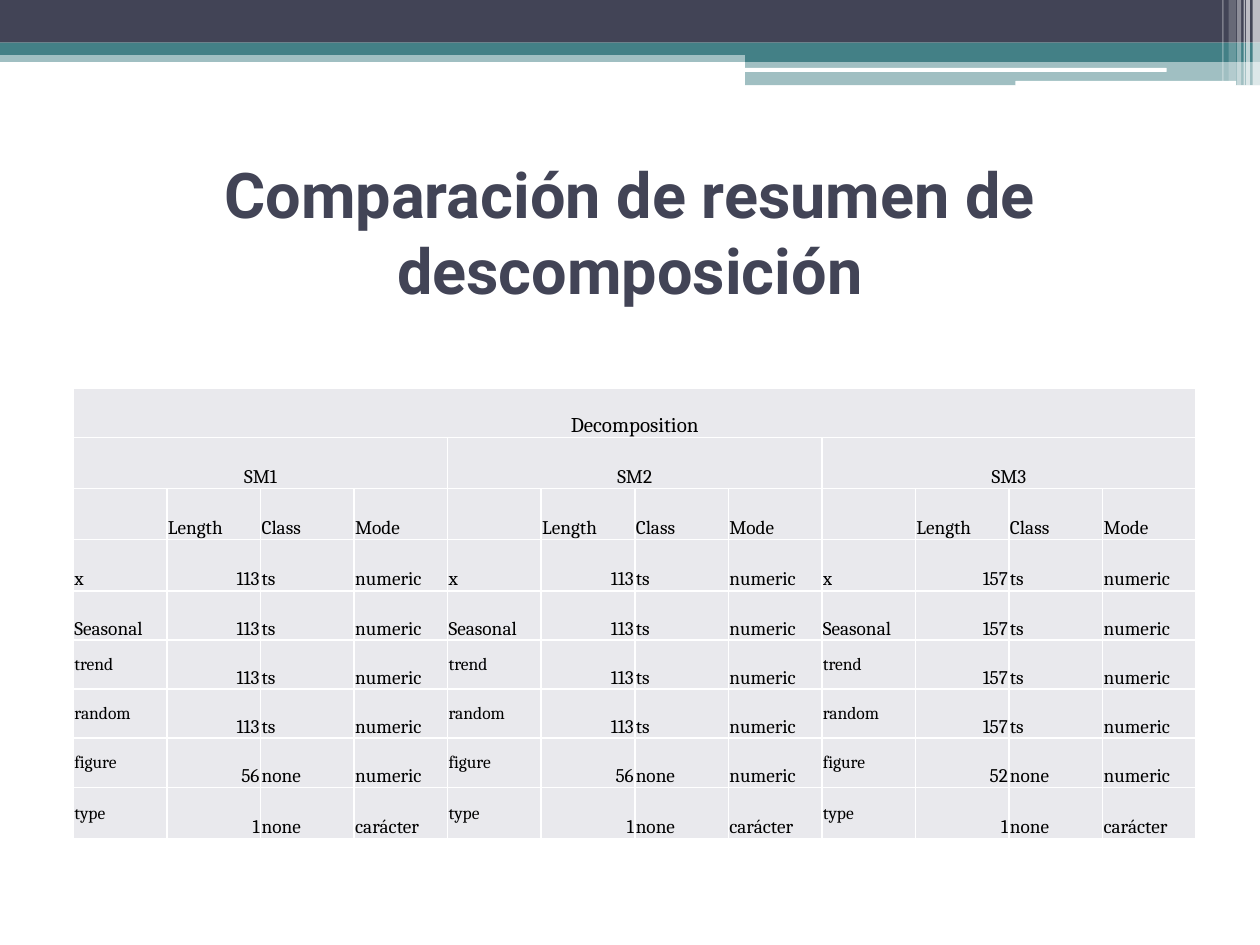
from lxml.etree import SubElement as Sub
from pptx import Presentation
from pptx.dml.color import RGBColor
from pptx.enum.shapes import MSO_SHAPE as Shape
from pptx.enum.text import MSO_ANCHOR as Anchor, PP_ALIGN as Align
from pptx.oxml.ns import qn
from pptx.util import Cm, Pt

NAVY = RGBColor(0x42, 0x44, 0x56)
TEAL = RGBColor(0x43, 0x80, 0x86)
WHITE = RGBColor(0xFF, 0xFF, 0xFF)
BLACK = RGBColor(0x00, 0x00, 0x00)
PALE = RGBColor(0xE9, 0xE9, 0xED)

BANDS = [
    (0, 1.02, 25.4, 0.23, TEAL, 50),
    (0, 0, 25.4, 0.86, NAVY, 100),
    (0, 0.86, 25.4, 0.25, TEAL, 100),
    (15.02, 0.99, 10.38, 0.26, TEAL, 100),
    (15.02, 1.23, 10.38, 0.49, TEAL, 50),
]
BARS = [(15.01, 1.37, 8.51, 0.08), (20.47, 1.63, 4.45, 0.1)]
STRIPS = [
    (25.25, 0.15, 1.73, 65),
    (25.12, 0.08, 1.73, 65),
    (25.07, 0.03, 1.73, 60),
    (24.94, 0.08, 1.73, 40),
    (24.77, 0.15, 1.63, 20),
    (24.64, 0.03, 1.63, 30),
]
MODELS = {
    "SM1": ("113", "56"),
    "SM2": ("113", "56"),
    "SM3": ("157", "52"),
}
HEADS = ["", "Length", "Class", "Mode"]
PARTS = ["x", "Seasonal", "trend", "random", "figure", "type"]
SMALL = PARTS[2:]
ROWS = [0.99, 1.03, 1.03, 1.03, 0.99, 0.99, 0.99, 0.99, 1.03]


def write(frame, text, size=11, font="Cambria", color=BLACK, bold=False,
          align=Align.LEFT):
    para = frame.paragraphs[0]
    para.alignment = align
    run = para.add_run()
    run.text = text
    run.font.size = Pt(size)
    run.font.name = font
    run.font.bold = bold
    run.font.color.rgb = color


def add_block(slide, x, y, w, h, color, alpha=100, kind=Shape.RECTANGLE):
    block = slide.shapes.add_shape(kind, Cm(x), Cm(y), Cm(w), Cm(h))
    block.shadow.inherit = False
    block.line.fill.background()
    block.fill.solid()
    block.fill.fore_color.rgb = color
    if alpha < 100:
        tone = block.fill._xPr.find(qn("a:solidFill"))[0]
        Sub(tone, qn("a:alpha"), val=str(alpha * 1000))


def add_title(slide, text):
    box = slide.shapes.add_textbox(Cm(1.27), Cm(3.18), Cm(22.86), Cm(2.97))
    frame = box.text_frame
    frame.word_wrap = True
    frame.vertical_anchor = Anchor.MIDDLE
    write(frame, text, size=36, font="Roboto", color=NAVY, bold=True,
          align=Align.CENTER)


def style_cell(cell):
    cell.margin_left = cell.margin_right = cell.margin_top = Cm(0.02)
    cell.margin_bottom = 0
    cell.vertical_anchor = Anchor.BOTTOM
    props = cell._tc.get_or_add_tcPr()
    for side in ("lnL", "lnR", "lnT", "lnB"):
        line = Sub(props, qn(f"a:{side}"), w=str(Pt(1)))
        Sub(Sub(line, qn("a:solidFill")), qn("a:srgbClr"), val=str(WHITE))
    cell.fill.solid()
    cell.fill.fore_color.rgb = PALE


def fill_model(table, col, name, full, period):
    top = table.cell(1, col)
    top.merge(table.cell(1, col + 3))
    write(top.text_frame, name, align=Align.CENTER)
    for step, head in enumerate(HEADS):
        if head:
            write(table.cell(2, col + step).text_frame, head)
    for row, part in enumerate(PARTS, 3):
        count = {"figure": period, "type": "1"}.get(part, full)
        group = "none" if part in ("figure", "type") else "ts"
        mode = "carácter" if part == "type" else "numeric"
        label = table.cell(row, col)
        if part in SMALL:
            label.vertical_anchor = Anchor.MIDDLE
        write(label.text_frame, part, size=10 if part in SMALL else 11)
        write(table.cell(row, col + 1).text_frame, count, align=Align.RIGHT)
        write(table.cell(row, col + 2).text_frame, group)
        write(table.cell(row, col + 3).text_frame, mode)


def add_summary(slide):
    span = len(HEADS)
    cols = span * len(MODELS)
    wide = Cm(22.64)
    table = slide.shapes.add_table(
        len(ROWS), cols, Cm(1.48), Cm(7.83), wide, Cm(sum(ROWS))).table
    for col in table.columns:
        col.width = wide // cols
    for row, high in zip(table.rows, ROWS):
        row.height = Cm(high)
    for cell in table.iter_cells():
        style_cell(cell)
    top = table.cell(0, 0)
    top.merge(table.cell(0, cols - 1))
    write(top.text_frame, "Decomposition", size=12, align=Align.CENTER)
    for place, (name, counts) in enumerate(MODELS.items()):
        fill_model(table, place * span, name, *counts)


def main():
    deck = Presentation()
    deck.slide_width, deck.slide_height = Cm(25.4), Cm(19.05)
    slide = deck.slides.add_slide(deck.slide_layouts[6])
    for band in BANDS:
        add_block(slide, *band)
    for bar in BARS:
        add_block(slide, *bar, WHITE, kind=Shape.ROUNDED_RECTANGLE)
    for x, wide, high, alpha in STRIPS:
        add_block(slide, x, 0, wide, high, WHITE, alpha)
    add_title(slide, "Comparación de resumen de descomposición")
    add_summary(slide)
    deck.save("out.pptx")


if __name__ == "__main__":
    main()
